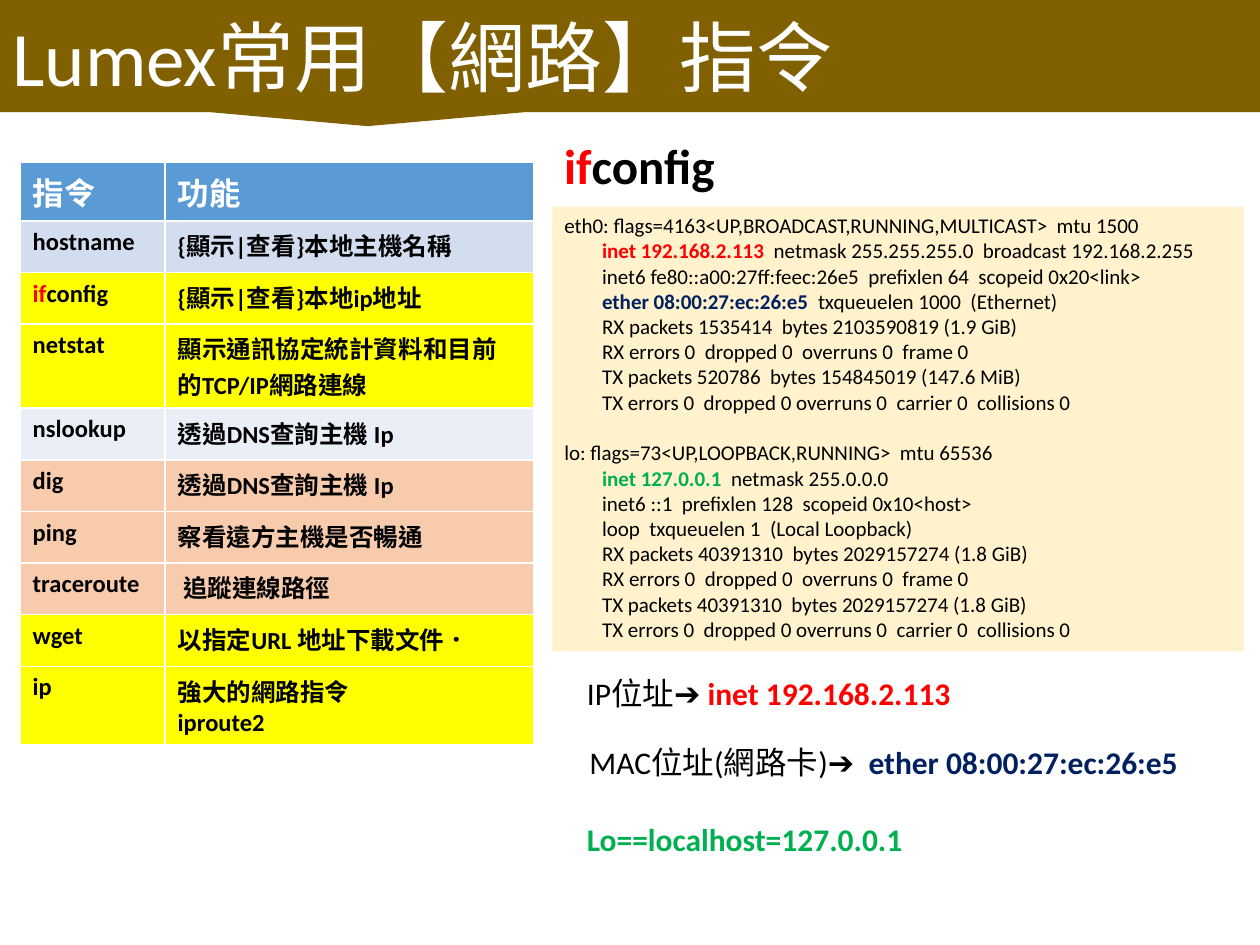
"""Build a slide on common Lumex network commands."""
import pptx
import pptx.dml.color
import pptx.enum.shapes
import pptx.enum.text
import pptx.oxml
import pptx.oxml.ns
import pptx.util

Inches = pptx.util.Inches
Pt = pptx.util.Pt
SHAPES = pptx.enum.shapes.MSO_SHAPE
ANCHOR = pptx.enum.text.MSO_ANCHOR

LATIN, CJK = "Calibri", "Noto Sans CJK TC"
BLACK, WHITE, RED, NAVY, GREEN = "000000", "FFFFFF", "FF0000", "002060", "00B050"
BLUE, PALE_BLUE, PALER_BLUE = "5B9BD5", "D2DEEF", "EAEFF7"
YELLOW, ORANGE, CREAM, BROWN = "FFFF00", "F8CBAD", "FFF2CC", "806000"

COMMANDS = [
    ("hostname", ["{顯示|查看}本地主機名稱"], PALE_BLUE),
    ("ifconfig", ["{顯示|查看}本地ip地址"], YELLOW),
    ("netstat", ["顯示通訊協定統計資料和目前的TCP/IP網路連線"], YELLOW),
    ("nslookup", ["透過DNS查詢主機 Ip"], PALER_BLUE),
    ("dig", ["透過DNS查詢主機 Ip"], ORANGE),
    ("ping", ["察看遠方主機是否暢通"], ORANGE),
    ("traceroute", [" 追蹤連線路徑"], ORANGE),
    ("wget", ["以指定URL 地址下載文件．"], YELLOW),
    ("ip", ["強大的網路指令", "iproute2"], YELLOW),
]
IFCONFIG = [("if", RED, True), ("config", BLACK, True)]
RX_ERRORS = "RX errors 0  dropped 0  overruns 0  frame 0"
TX_ERRORS = "TX errors 0  dropped 0 overruns 0  carrier 0  collisions 0"
INTERFACES = [
    ("eth0: flags=4163<UP,BROADCAST,RUNNING,MULTICAST>  mtu 1500", [
        [("inet 192.168.2.113  ", RED, True),
         ("netmask 255.255.255.0  broadcast 192.168.2.255",)],
        [("inet6 fe80::a00:27ff:feec:26e5  prefixlen 64  scopeid 0x20<link>",)],
        [("ether 08:00:27:ec:26:e5  ", NAVY, True),
         ("txqueuelen 1000  (Ethernet)",)],
        [("RX packets 1535414  bytes 2103590819 (1.9 GiB)",)],
        [(RX_ERRORS,)],
        [("TX packets 520786  bytes 154845019 (147.6 MiB)",)],
        [(TX_ERRORS,)],
    ]),
    ("lo: flags=73<UP,LOOPBACK,RUNNING>  mtu 65536", [
        [("inet 127.0.0.1  ", GREEN, True), ("netmask 255.0.0.0",)],
        [("inet6 ::1  prefixlen 128  scopeid 0x10<host>",)],
        [("loop  txqueuelen 1  (Local Loopback)",)],
        [("RX packets 40391310  bytes 2029157274 (1.8 GiB)",)],
        [(RX_ERRORS,)],
        [("TX packets 40391310  bytes 2029157274 (1.8 GiB)",)],
        [(TX_ERRORS,)],
    ]),
]


def rgb(value):
    """Return the colour for a hex string."""
    return pptx.dml.color.RGBColor.from_string(value)


def add_run(p, size, text, color=BLACK, bold=False, font=LATIN):
    """Append one formatted run to a paragraph."""
    r = p.add_run()
    r.text = text
    r.font.size = Pt(size)
    r.font.bold = bold
    r.font.name = font
    r.font.color.rgb = rgb(color)
    r.font._element.set("lang", "zh-TW")
    if font == CJK:
        ea = pptx.oxml.parse_xml(
            f'<a:ea {pptx.oxml.ns.nsdecls("a")} typeface="{font}"/>')
        r.font._element.append(ea)


def write(tf, size, paragraphs):
    """Write paragraphs, each a list of runs, and return them."""
    for i, runs in enumerate(paragraphs):
        p = tf.paragraphs[0] if i == 0 else tf.add_paragraph()
        p.alignment = pptx.enum.text.PP_ALIGN.LEFT
        for run in runs:
            add_run(p, size, *run)
    return tf.paragraphs


def add_panel(s, kind, box, fill, anchor):
    """Add a filled shape without outline and return its text frame."""
    sp = s.shapes.add_shape(kind, *map(Inches, box))
    sp.shadow.inherit = False
    sp.fill.solid()
    sp.fill.fore_color.rgb = rgb(fill)
    sp.line.fill.background()
    tf = sp.text_frame
    tf.word_wrap = True
    tf.vertical_anchor = anchor
    return tf


def add_label(s, box, size, runs, wrap=False):
    """Add a one-paragraph text box."""
    tf = s.shapes.add_textbox(*map(Inches, box)).text_frame
    tf.word_wrap = wrap
    tf.auto_size = pptx.enum.text.MSO_AUTO_SIZE.SHAPE_TO_FIT_TEXT
    write(tf, size, [runs])


def add_commands(s):
    """Add the table of commands and what they do."""
    count = len(COMMANDS) + 1
    frame = s.shapes.add_table(count, 2, Inches(0.16), Inches(1.29),
                               Inches(4.08), Inches(0.41 * count))
    table = frame.table
    for column, width in zip(table.columns, (1.15, 2.93)):
        column.width = Inches(width)
    rows = [(18, BLUE, [[("指令", WHITE, True)]], [[("功能", WHITE, True)]])]
    for name, lines, fill in COMMANDS:
        runs = IFCONFIG if name == "ifconfig" else [(name, BLACK, True)]
        rows.append((14, fill, [runs], [[(t, BLACK, True)] for t in lines]))
    for row, (size, fill, *contents) in zip(table.rows, rows):
        for cell, paragraphs, inset in zip(row.cells, contents, (0.1, 0.15)):
            cell.margin_right = Inches(inset)
            cell.fill.solid()
            cell.fill.fore_color.rgb = rgb(fill)
            write(cell.text_frame, size, paragraphs)


def add_listing(s):
    """Add the ifconfig output with indented details."""
    tf = add_panel(s, SHAPES.RECTANGLE, (4.38, 1.64, 5.49, 3.53), CREAM, ANCHOR.TOP)
    lines = []
    for header, details in INTERFACES:
        lines += [[(header,)], *details]
    headers = [header for header, _ in INTERFACES]
    for p in write(tf, 12, lines):
        if p.text not in headers:
            p._p.get_or_add_pPr().set("marL", str(Inches(0.3)))
        elif p.text != headers[0]:
            p.space_before = Pt(14.6)


def main():
    """Build and save the slide."""
    prs = pptx.Presentation()
    prs.slide_width, prs.slide_height = Inches(10), Inches(7.5)
    s = prs.slides.add_slide(prs.slide_layouts[6])
    add_commands(s)
    title = add_panel(s, SHAPES.RECTANGULAR_CALLOUT, (0, 0, 10, 0.89),
                      BROWN, ANCHOR.MIDDLE)
    parts = [("Lumex常用", LATIN), ("【", CJK), ("網路", LATIN),
             ("】", CJK), ("指令", LATIN)]
    write(title, 44, [[(text, WHITE, False, font) for text, font in parts]])
    add_listing(s)
    add_label(s, (4.38, 1.03, 1.4, 0.57), 28, IFCONFIG)
    add_label(s, (4.56, 6.46, 2.73, 0.4), 18,
              [("Lo==localhost=127.0.0.1", GREEN, True)])
    add_label(s, (4.56, 5.3, 3.23, 0.4), 18,
              [("IP位址➔ ",), ("inet 192.168.2.113", RED, True)])
    add_label(s, (4.58, 5.85, 4.98, 0.4), 18,
              [("MAC位址(網路卡)➔ ",), ("ether 08:00:27:ec:26:e5", NAVY, True)],
              wrap=True)
    prs.save("out.pptx")


if __name__ == "__main__":
    main()
